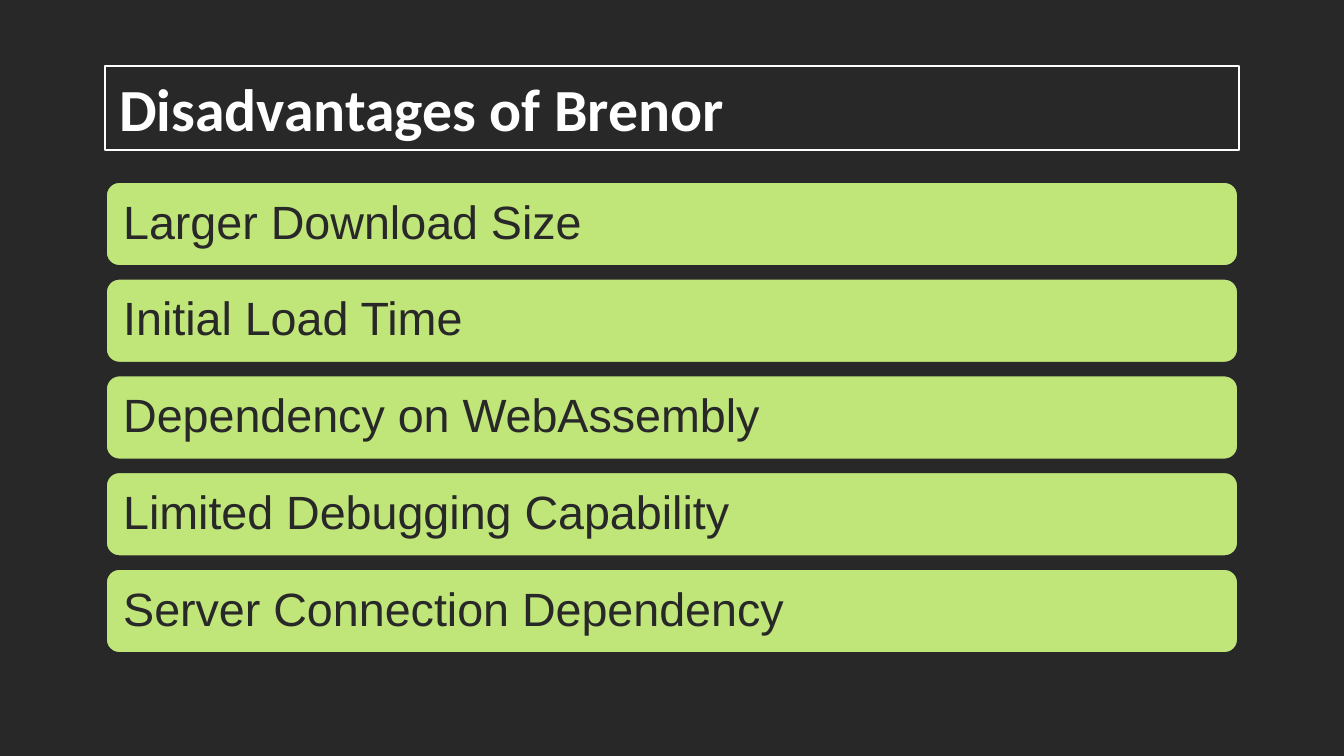
from pptx import Presentation
from pptx.dml.color import RGBColor
from pptx.enum.shapes import MSO_SHAPE
from pptx.enum.text import MSO_ANCHOR, MSO_AUTO_SIZE, PP_ALIGN
from pptx.util import Pt

SCALE = 9144000 / 1344  # EMU per px
DARK, LIME, WHITE = "292828", "C0E67A", "FFFFFF"
LEFT, WIDTH = 105, 1134


def paint(shape, fill, line, weight):
    shape.fill.solid()
    shape.fill.fore_color.rgb = RGBColor.from_string(fill)
    shape.line.color.rgb = RGBColor.from_string(line)
    shape.line.width = Pt(weight)


def write(shape, text, font="Arial", size=25, color=DARK, bold=False, space=1.0):
    frame = shape.text_frame
    frame.text = text
    frame.word_wrap = True
    frame.auto_size = MSO_AUTO_SIZE.NONE
    frame.vertical_anchor = MSO_ANCHOR.MIDDLE
    frame.margin_left = frame.margin_right = round(14 * SCALE)
    frame.margin_top = frame.margin_bottom = round(13 * SCALE)
    para = frame.paragraphs[0]
    para.alignment = PP_ALIGN.LEFT
    para.line_spacing = space
    face = para.runs[0].font
    face.name, face.size, face.bold = font, Pt(size), bold
    face.color.rgb = RGBColor.from_string(color)


# Slide and background
deck = Presentation()
deck.slide_width, deck.slide_height = round(1344 * SCALE), round(756 * SCALE)
slide = deck.slides.add_slide(deck.slide_layouts[5])
back = slide.background.fill
back.solid()
back.fore_color.rgb = RGBColor.from_string(DARK)

# Title
title = slide.shapes.title
title.left, title.top, title.width, title.height = [
    round(n * SCALE) for n in (LEFT, 66, WIDTH, 84)]
paint(title, DARK, WHITE, 0.75)
write(title, "Disadvantages of Brenor", font="Calibri", size=32, color=WHITE, bold=True)

# Evenly spaced bars
points = [
    "Larger Download Size",
    "Initial Load Time",
    "Dependency on WebAssembly",
    "Limited Debugging Capability",
    "Server Connection Dependency",
]
first, last, height = 181, 568, 86
step = (last - first) / (len(points) - 1)
for i, point in enumerate(points):
    box = [round(n * SCALE) for n in (LEFT, first + i * step, WIDTH, height)]
    bar = slide.shapes.add_shape(MSO_SHAPE.ROUNDED_RECTANGLE, *box)
    bar.shadow.inherit = False
    paint(bar, LIME, DARK, 2)
    write(bar, point, space=0.9)

deck.save("out.pptx")
